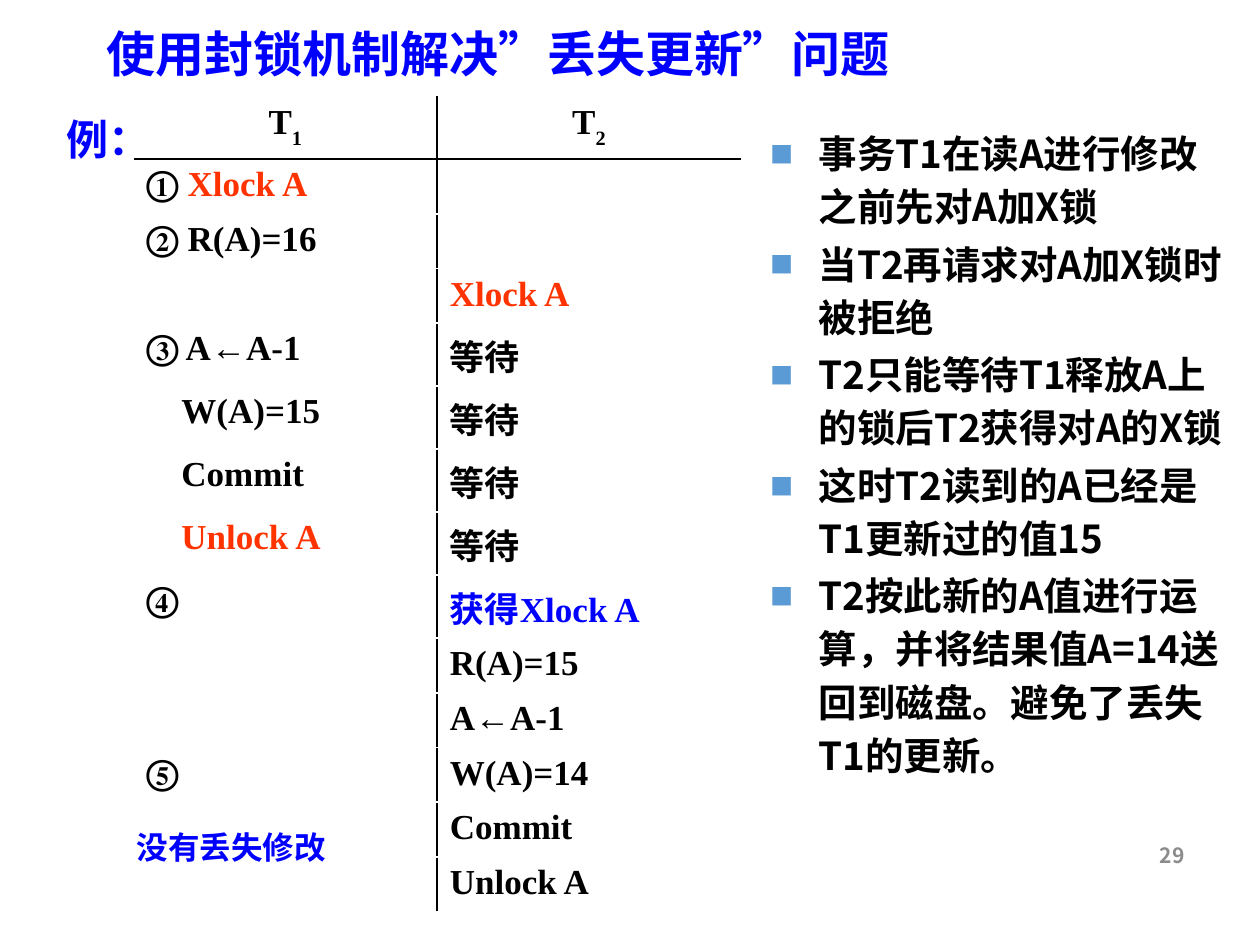
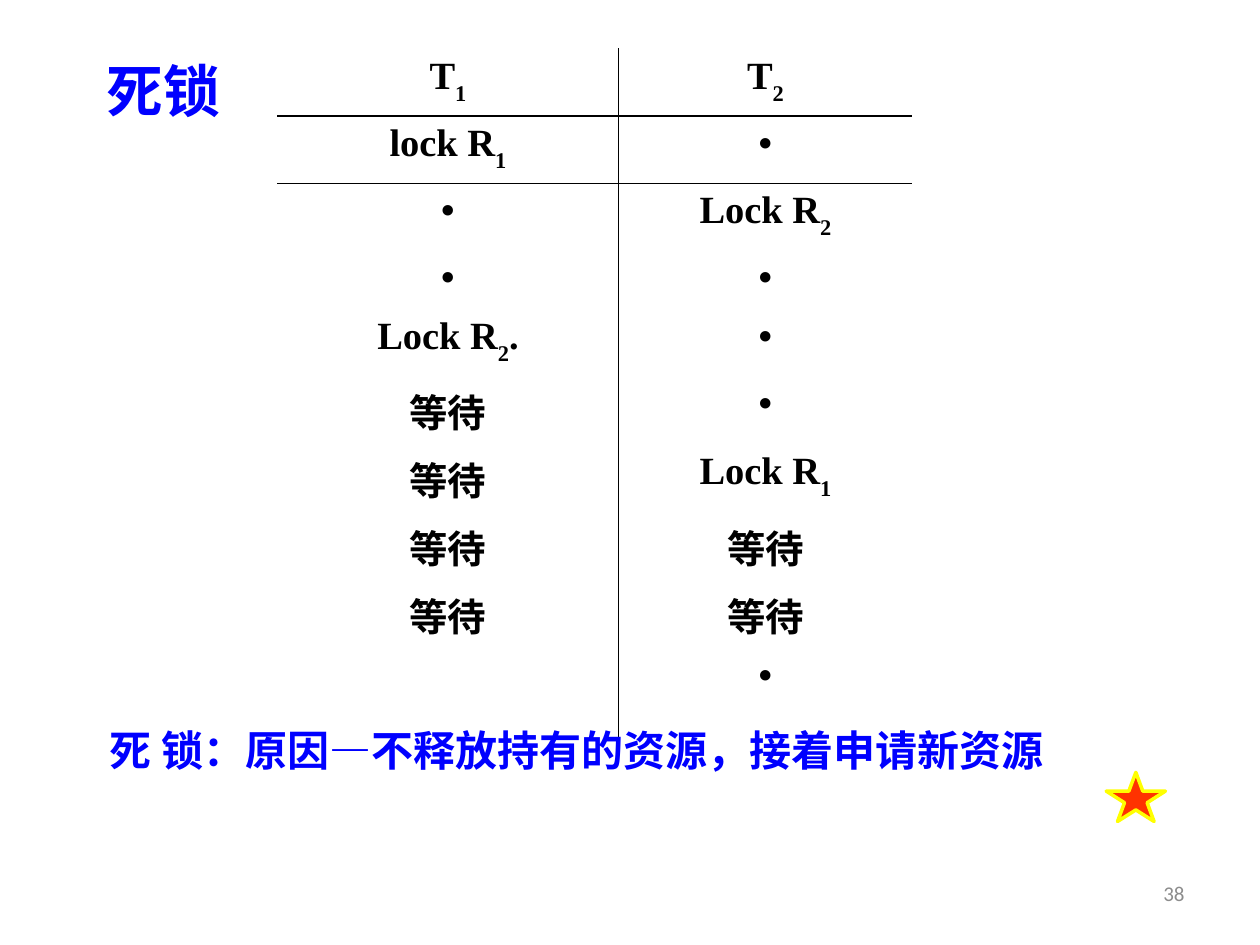
from lxml.etree import SubElement
from pptx import Presentation
from pptx.dml.color import RGBColor
from pptx.enum.shapes import MSO_SHAPE as Shape
from pptx.enum.text import MSO_ANCHOR as Anchor, PP_ALIGN as Align
from pptx.oxml.ns import qn
from pptx.util import Inches, Pt

COLORS = {"blue": "0000FF", "red": "FF3300", "black": "000000", "white": "FFFFFF",
          "gray": "8C8C8C", "bullet": "5B9BD5", "yellow": "FFFF00"}
CJK, SERIF, SANS = "Noto Sans CJK SC", "Times New Roman", "Calibri"
PLAIN_TABLE = "{2D5ABB26-0587-4C30-8999-92F81FD0307C}"
HANG = 0.38   # hanging indent of the bullet points
STEP = 0.28   # indent of actions that continue a numbered step

# A cell is a list of (text, style) runs; style is a colour, "sub" or None.
WAIT, DOT, EMPTY = [("等待", None)], [("•", None)], []
T1, T2 = [("T", None), ("1", "sub")], [("T", None), ("2", "sub")]


def lock(resource, verb="Lock"):
    """Runs for a lock request on a numbered resource."""
    return [(f"{verb} R", None), (resource, "sub")]


UPDATE_TITLE = "使用封锁机制解决”丢失更新”问题"
# (T1 cell, T2 cell, row height)
UPDATE_ROWS = [
    (T1, T2, 0.48),
    ([("① ", None), ("Xlock A", "red")], EMPTY, 0.41),
    ([("② R(A)=16", None)], EMPTY, 0.41),
    (EMPTY, [("Xlock A", "red")], 0.41),
    ([("③ A←A-1", None)], WAIT, 0.5),
    ([("W(A)=15", None)], WAIT, 0.5),
    ([("Commit", None)], WAIT, 0.5),
    ([("Unlock A", "red")], WAIT, 0.5),
    ([("④", None)], [("获得Xlock A", "blue")], 0.5),
    (EMPTY, [("R(A)=15", None)], 0.41),
    (EMPTY, [("A←A-1", None)], 0.41),
    ([("⑤", None)], [("W(A)=14", None)], 0.41),
    (EMPTY, [("Commit", None)], 0.41),
    (EMPTY, [("Unlock A", None)], 0.41),
]
CONTINUED_ROWS = (5, 6, 7)
POINTS = [
    "事务T1在读A进行修改之前先对A加X锁",
    "当T2再请求对A加X锁时被拒绝",
    "T2只能等待T1释放A上的锁后T2获得对A的X锁",
    "这时T2读到的A已经是T1更新过的值15",
    "T2按此新的A值进行运算，并将结果值A=14送回到磁盘。避免了丢失T1的更新。",
]

DEADLOCK_TITLE = "死锁"
DEADLOCK_ROWS = [
    (T1, T2, 0.5),
    (lock("1", "lock"), DOT, 0.5),
    (DOT, lock("2"), 0.5),
    (DOT, DOT, 0.44),
    (lock("2") + [(".", None)], DOT, 0.5),
    (WAIT, DOT, 0.54),
    (WAIT, lock("1"), 0.54),
    (WAIT, WAIT, 0.54),
    (WAIT, WAIT, 0.54),
    (EMPTY, DOT, 0.81),
]
DEADLOCK_CAUSE = "死 锁：原因—不释放持有的资源，接着申请新资源"


def rgb(color):
    """Colour object for a palette name."""
    return RGBColor.from_string(COLORS[color])


def add_run(paragraph, text, size, color, font=CJK, bold=True, sub=False):
    """Add a run with Latin and East Asian fonts."""
    run = paragraph.add_run()
    run.text = text
    run.font.color.rgb = rgb(color)
    for name, value in {"size": Pt(size), "bold": bold, "name": font}.items():
        setattr(run.font, name, value)
    properties = run._r.get_or_add_rPr()
    SubElement(properties, qn("a:ea"), typeface=CJK)
    if sub:
        properties.set("baseline", "-30000")


def set_indent(paragraph, left, first=0):
    """Set left margin and first-line indent in inches."""
    properties = paragraph._p.get_or_add_pPr()
    properties.set("marL", str(Inches(left)))
    properties.set("indent", str(Inches(first)))


def add_text(slide, box, text, size, color="blue", align=Align.LEFT,
             anchor=Anchor.TOP, wrap=True, spacing=1.0, **run_format):
    """Add a one-paragraph text box."""
    frame = slide.shapes.add_textbox(*map(Inches, box)).text_frame
    frame.word_wrap, frame.vertical_anchor = wrap, anchor
    paragraph = frame.paragraphs[0]
    paragraph.alignment, paragraph.line_spacing = align, spacing
    add_run(paragraph, text, size, color, **run_format)


def add_title(slide, text, top, size):
    """Add the slide title."""
    add_text(slide, (0.75, top, 8.08, 0.62), text, size,
             anchor=Anchor.MIDDLE, spacing=0.9)


def add_number(slide, number, top, **run_format):
    """Add the slide number at the lower right."""
    add_text(slide, (7.17, top, 2.33, 0.52), number, 12, "gray",
             Align.RIGHT, Anchor.MIDDLE, **run_format)


def add_caption(slide, box, text, size):
    """Add a centred blue remark on one line."""
    add_text(slide, box, text, size, align=Align.CENTER, wrap=False)


def set_borders(cell, edges):
    """Draw 1 pt cell borders from {side: colour}, in schema order."""
    properties = cell._tc.get_or_add_tcPr()
    for side in "LRTB":
        if side in edges:
            line = SubElement(properties, qn(f"a:ln{side}"), w=str(Pt(1)))
            fill = SubElement(line, qn("a:solidFill"))
            SubElement(fill, qn("a:srgbClr"), val=COLORS[edges[side]])


def add_schedule(slide, left, top, widths, rows, size, centered, row_gaps):
    """Add a two-transaction schedule with a header rule and a divider."""
    heights = [height for _, _, height in rows]
    frame = slide.shapes.add_table(
        len(rows), 2, *map(Inches, (left, top, sum(widths), sum(heights))))
    table = frame.table
    table.first_row = table.horz_banding = False
    table._tbl.tblPr.find(qn("a:tableStyleId")).text = PLAIN_TABLE
    for column, width in zip(table.columns, widths):
        column.width = Inches(width)
    for row, (first, second, height) in enumerate(rows):
        table.rows[row].height = Inches(height)
        for column, runs in enumerate((first, second)):
            cell = table.cell(row, column)
            edges = {"R" if column == 0 else "L": "black"}
            if row <= 1:
                edges["T"] = "black" if row else "white"
            elif row_gaps:
                edges["T"] = "white"
            if row == 0:
                edges["B"] = "black"
            elif row_gaps or row == len(rows) - 1:
                edges["B"] = "white"
            set_borders(cell, edges)
            cell.fill.background()
            paragraph = cell.text_frame.paragraphs[0]
            if centered or row == 0:
                paragraph.alignment = Align.CENTER
            elif column == 0 and row in CONTINUED_ROWS:
                set_indent(paragraph, STEP)
            for text, style in runs:
                sub = style == "sub"
                color = "black" if sub or style is None else style
                add_run(paragraph, text, size, color, SERIF, sub=sub)


def add_points(slide, box, points):
    """Add the square-bulleted explanation."""
    frame = slide.shapes.add_textbox(*map(Inches, box)).text_frame
    frame.word_wrap = True
    for index, point in enumerate(points):
        paragraph = frame.add_paragraph() if index else frame.paragraphs[0]
        paragraph.line_spacing, paragraph.space_before = 1.15, Pt(2.5)
        set_indent(paragraph, HANG, -HANG)
        properties = paragraph._p.get_or_add_pPr()
        color = SubElement(properties, qn("a:buClr"))
        SubElement(color, qn("a:srgbClr"), val=COLORS["bullet"])
        SubElement(properties, qn("a:buSzPct"), val="60000")
        SubElement(properties, qn("a:buFont"), typeface=CJK)
        SubElement(properties, qn("a:buChar"), char="■")
        add_run(paragraph, point, 22, "black")


def add_star(slide, box):
    """Add the red star with a yellow outline."""
    star = slide.shapes.add_shape(Shape.STAR_5_POINT, *map(Inches, box))
    star.shadow.inherit = False
    star.fill.solid()
    star.fill.fore_color.rgb = rgb("red")
    star.line.color.rgb = rgb("yellow")
    star.line.width = Pt(2)


deck = Presentation()
deck.slide_width, deck.slide_height = Inches(10), Inches(7.5)
blank = deck.slide_layouts[6]

update = deck.slides.add_slide(blank)
add_number(update, "29", 6.53)
add_title(update, UPDATE_TITLE, 0.14, 28)
add_schedule(update, 1.06, 0.77, (2.41, 2.41), UPDATE_ROWS, 20,
             centered=False, row_gaps=True)
add_caption(update, (0.43, 0.85, 0.87, 0.5), "例：", 24)
add_points(update, (6.02, 0.93, 3.8, 5.81), POINTS)
add_caption(update, (0.98, 6.52, 1.71, 0.4), "没有丢失修改", 18)

deadlock = deck.slides.add_slide(blank)
add_number(deadlock, "38", 6.83, font=SANS, bold=False)
add_title(deadlock, DEADLOCK_TITLE, 0.44, 32.4)
add_schedule(deadlock, 2.2, 0.39, (2.71, 2.33), DEADLOCK_ROWS, 22,
             centered=True, row_gaps=False)
add_caption(deadlock, (0.71, 5.7, 7.73, 0.5), DEADLOCK_CAUSE, 24)
add_star(deadlock, (8.78, 6.13, 0.47, 0.39))

deck.save("out.pptx")
